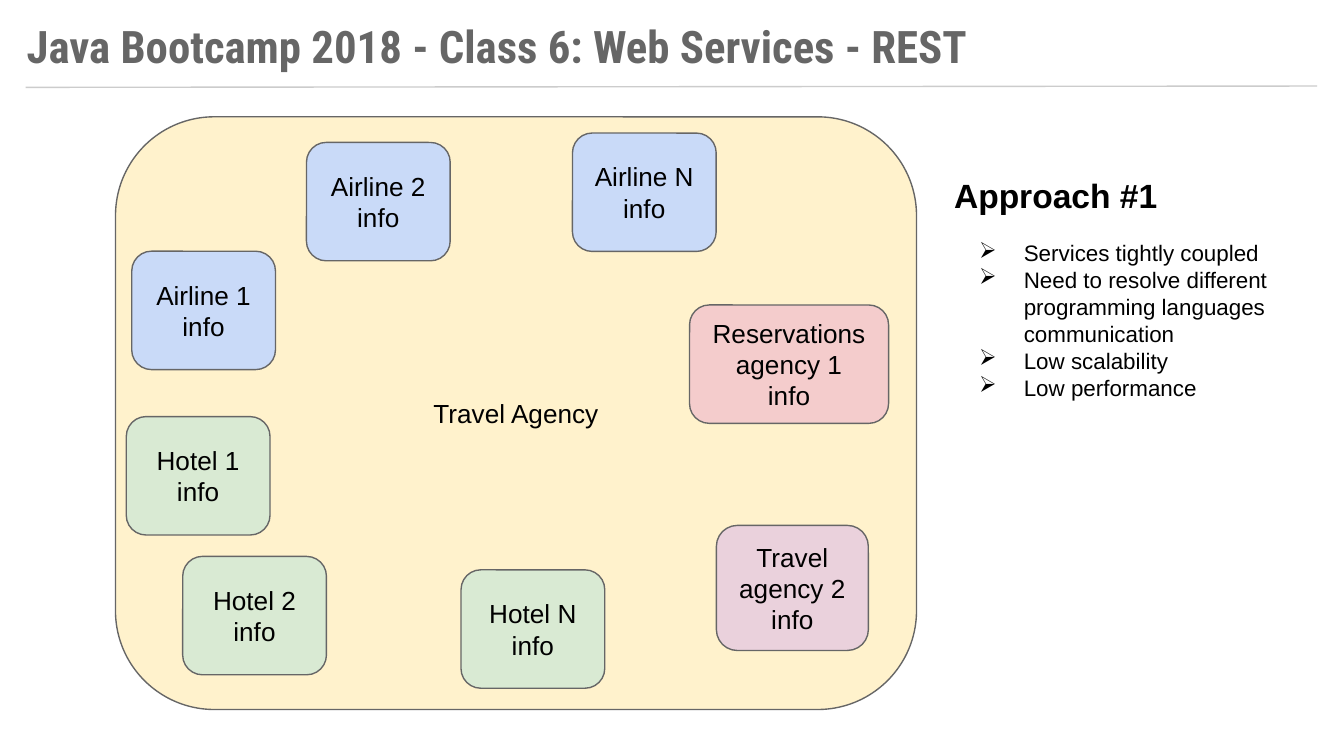
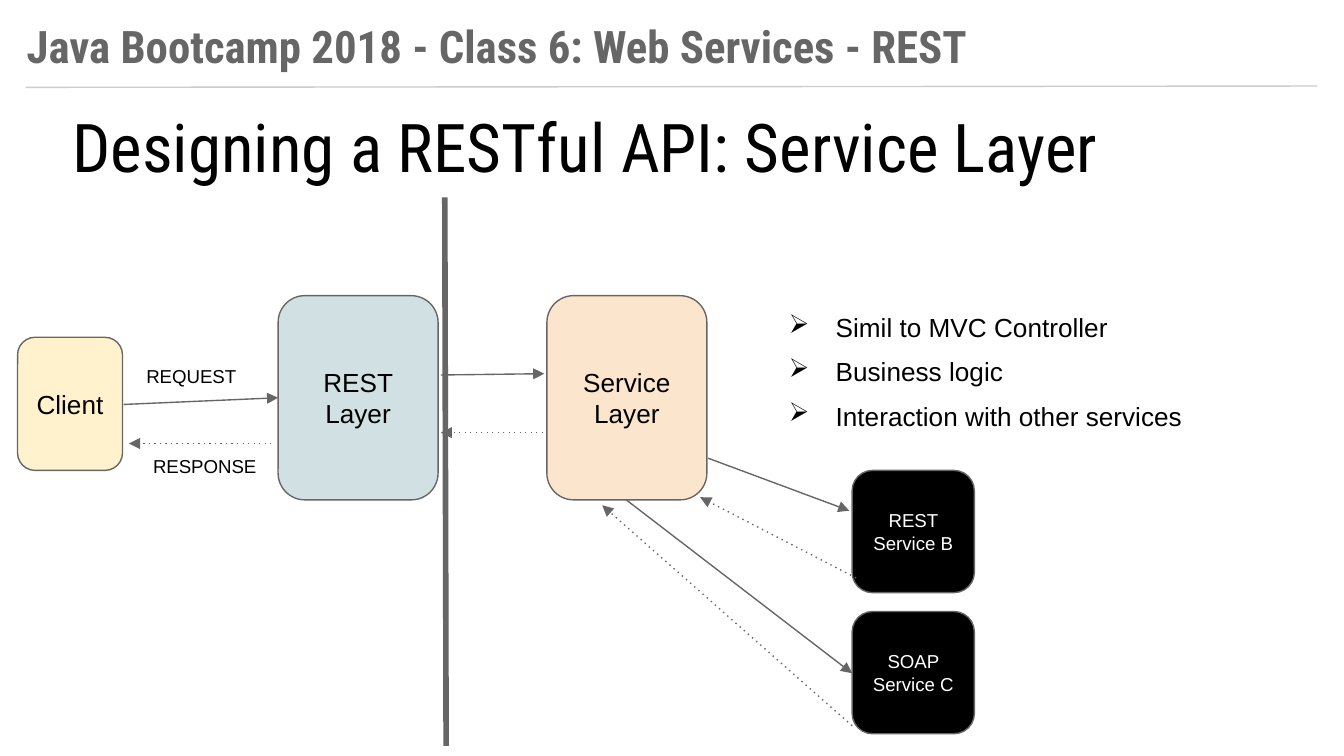
"""Build two slides on REST web services: a coupled travel agency and the service layer."""
from lxml.etree import SubElement
from pptx import Presentation
from pptx.dml.color import RGBColor as RGB
from pptx.enum.shapes import MSO_CONNECTOR as CONN, MSO_SHAPE as SHAPE
from pptx.enum.text import MSO_ANCHOR as ANCHOR, PP_ALIGN as ALIGN
from pptx.oxml.ns import qn
from pptx.util import Pt

COLORS = {
    "black": "000000", "white": "FFFFFF", "gray": "666666", "rule": "CCCCCC",
    "cream": "FFF2CC", "blue": "C9DAF8", "green": "D9EAD3", "pink": "EAD1DC",
    "red": "F4CCCC", "teal": "D0E0E3", "peach": "FCE5CD",
}
BODY, DISPLAY = "Arial", "Roboto Condensed"
INSET = 7.2


def rgb(name):
    return RGB.from_string(COLORS[name])


class Deck:
    """Holds the presentation style and the slide being drawn."""

    def __init__(self):
        self.prs = Presentation()
        self.prs.slide_width, self.prs.slide_height = Pt(720), Pt(405)
        self.s = None

    def slide(self):
        self.s = self.prs.slides.add_slide(self.prs.slide_layouts[6])
        self.line(13.7, 46.8, 705.6, 46.1, color="rule")
        self.text("Java Bootcamp 2018 - Class 6: Web Services - REST",
                  7.2, 2.9, 564.5, 36, 24, DISPLAY, "gray", bold=True)

    def label(self, sp, text, size, font=BODY, color="black", bold=False, align=ALIGN.LEFT):
        tf = sp.text_frame
        tf.word_wrap = True
        tf.margin_left = tf.margin_right = tf.margin_top = tf.margin_bottom = Pt(INSET)
        tf.text = text
        for p in tf.paragraphs:
            p.alignment = align
            for r in p.runs:
                r.font.name, r.font.size, r.font.bold = font, Pt(size), bold
                r.font.color.rgb = rgb(color)
        return tf

    def text(self, text, x, y, w, h, size, font=BODY, color="black", bold=False):
        sp = self.s.shapes.add_textbox(Pt(x), Pt(y), Pt(w), Pt(h))
        return self.label(sp, text, size, font, color, bold)

    def bullets(self, items, x, y, w, h, size, hang, spacing=1.0):
        tf = self.text("\n".join(items), x, y, w, h, size)
        for p in tf.paragraphs:
            p.line_spacing = spacing
            pPr = p._p.get_or_add_pPr()
            pPr.set("marL", str(Pt(36)))
            pPr.set("indent", str(-Pt(hang)))
            clr = SubElement(pPr, qn("a:buClr"))
            SubElement(clr, qn("a:srgbClr"), val=COLORS["black"])
            SubElement(pPr, qn("a:buChar"), char="➢")

    def box(self, text, x, y, w, h, fill, size=14, color="black"):
        sp = self.s.shapes.add_shape(SHAPE.ROUNDED_RECTANGLE, Pt(x), Pt(y), Pt(w), Pt(h))
        sp.shadow.inherit = False
        sp.fill.solid()
        sp.fill.fore_color.rgb = rgb(fill)
        sp.line.color.rgb = rgb("gray")
        sp.line.width = Pt(0.75)
        tf = self.label(sp, text, size, color=color, align=ALIGN.CENTER)
        tf.vertical_anchor = ANCHOR.MIDDLE

    def line(self, x1, y1, x2, y2, color="gray", width=0.75, dotted=False, arrow=False):
        c = self.s.shapes.add_connector(CONN.STRAIGHT, Pt(x1), Pt(y1), Pt(x2), Pt(y2))
        c.line.color.rgb = rgb(color)
        c.line.width = Pt(width)
        spPr = c._element.spPr
        ln = spPr.find(qn("a:ln"))
        if dotted:
            SubElement(ln, qn("a:prstDash"), val="dot")
        if arrow:
            SubElement(ln, qn("a:tailEnd"), type="triangle")
        SubElement(spPr, qn("a:effectLst"))

    def arrow(self, x1, y1, x2, y2, dotted=False):
        self.line(x1, y1, x2, y2, dotted=dotted, arrow=True)


def travel_agency(d):
    d.slide()
    d.box("Travel Agency", 61.9, 62.6, 429.1, 317.5, "cream")
    for name, x, y, fill in (
        ("Airline 1", 70.6, 134.6, "blue"),
        ("Airline 2", 164.2, 76.3, "blue"),
        ("Airline N", 306.7, 71.3, "blue"),
        ("Hotel 1", 67.7, 223.2, "green"),
        ("Hotel 2", 97.9, 298.1, "green"),
        ("Hotel N", 247, 305.3, "green"),
    ):
        d.box(f"{name}\ninfo", x, y, 77, 63.4, fill)
    d.box("Travel agency 2\ninfo", 383.8, 281.5, 81.4, 67, "pink")
    d.box("Reservations agency 1\ninfo", 369.4, 163.4, 106.6, 63.4, "red")
    d.text("Approach #1", 504, 86.4, 193.7, 51.8, 18, bold=True)
    d.bullets(("Services tightly coupled",
               "Need to resolve different programming languages communication",
               "Low scalability", "Low performance"),
              505.4, 121, 193, 183.6, 12, hang=24)


def service_layer(d):
    d.slide()
    d.text("Designing a RESTful API: Service Layer", 31.7, 49, 580.3, 56.2, 36, DISPLAY)
    d.box("Client", 9.4, 180.7, 56.2, 71.3, "cream")
    for name, x, fill in (("REST Layer", 149, "teal"), ("Service Layer", 293, "peach")):
        d.box(name, x, 158.4, 85.7, 109.4, fill)
    for name, y in (("REST Service B", 252), ("SOAP Service C", 327.6)):
        d.box(name, 456.5, y, 65.5, 65.5, "black", 10, "white")
    d.text("REQUEST", 71.3, 189.4, 79.9, 36, 10)
    d.text("RESPONSE", 74.9, 237.6, 79.9, 36, 10)
    for request in ((66.2, 216.7, 149, 213.1), (236.2, 200.9, 291.6, 200.2),
                    (379.4, 245.5, 455, 273.6), (335.5, 267.8, 456.5, 360.7)):
        d.arrow(*request)
    d.line(238.3, 105.8, 239, 399.6, width=3)
    for response in ((145.4, 237.6, 69.1, 237.6), (290.9, 231.8, 236.2, 231.8),
                     (458.6, 309.6, 375.1, 266.4), (456.5, 388.8, 322.6, 270.7)):
        d.arrow(*response, dotted=True)
    for i, role in enumerate(("Simil to MVC Controller", "Business logic",
                              "Interaction with other services")):
        d.bullets((role,), 404.6, 151.2 + 23.8 * i, 238.3, 36, 14, hang=25, spacing=1.5)


def main():
    d = Deck()
    travel_agency(d)
    service_layer(d)
    d.prs.save("out.pptx")


if __name__ == "__main__":
    main()
